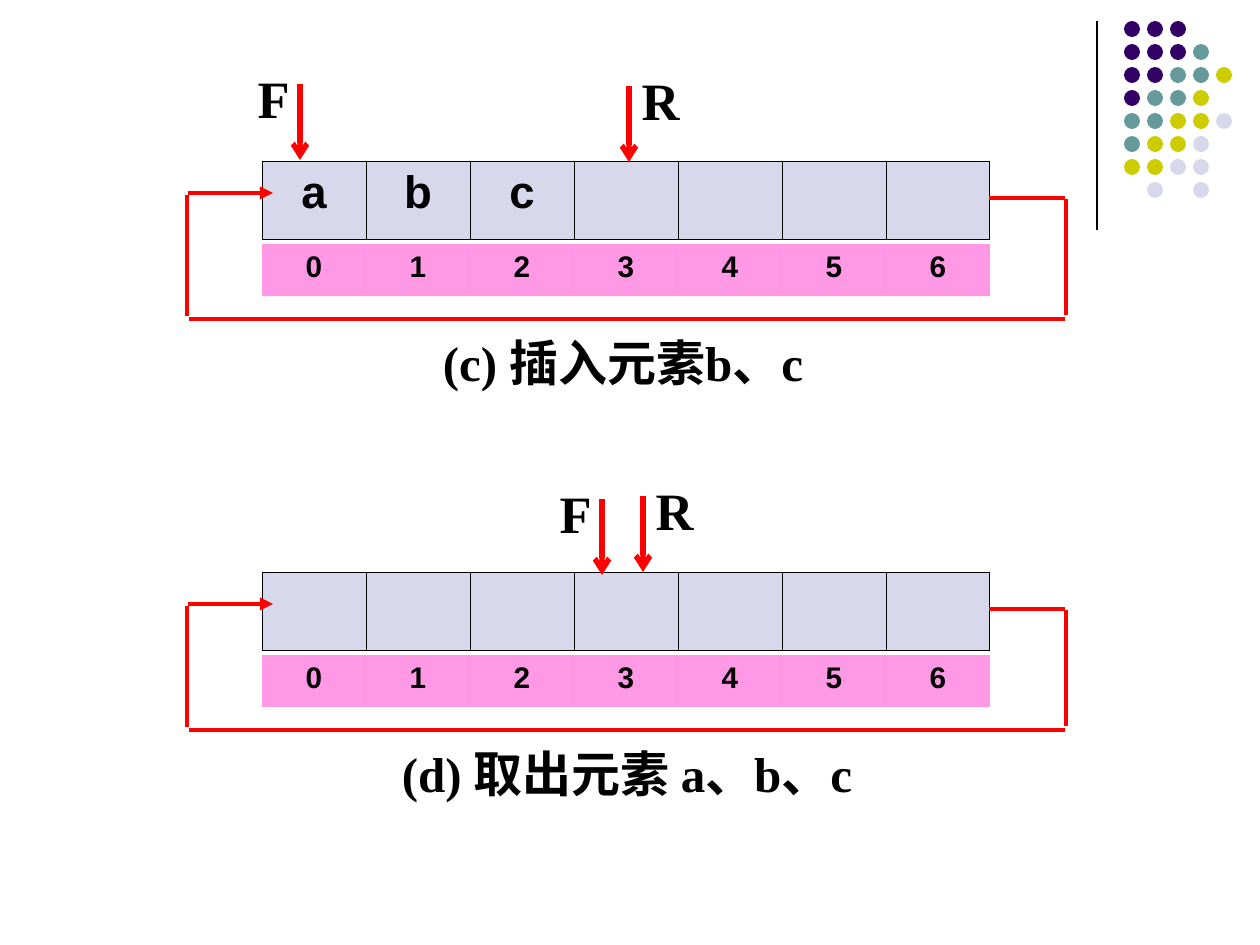
from lxml.etree import SubElement
from pptx import Presentation
from pptx.dml.color import RGBColor
from pptx.enum.shapes import MSO_CONNECTOR as Connector, MSO_SHAPE as Shape
from pptx.enum.text import PP_ALIGN as Align
from pptx.oxml.ns import qn
from pptx.util import Pt

PX = 914400 / 126
RED, BLACK, LAVENDER, PINK = "FF0000", "000000", "D8D8EC", "FF33CC"
SERIF, SANS, CJK = "Times New Roman", "Arial", "Noto Sans CJK SC"
NO_STYLE = "{2D5ABB26-0587-4C30-8999-92F81FD0307C}"
DOT_COLORS = {"P": "330066", "T": "669999", "Y": "CCCC00", "L": LAVENDER}
DOT_ROWS = ["PPP", "PPPT", "PPTTY", "PTTY", "TTYYL", "TYYL", "YYLL", " L L"]
SLOTS = 7
CELL_WIDTH = 104


def px(*lengths):
    return [round(length * PX) for length in lengths]


def paint(target, color):
    target.solid()
    target.fore_color.rgb = RGBColor.from_string(color)


def add_span(para, text, size, font):
    span = para.add_run()
    span.text = text
    span.font.size = Pt(size)
    span.font.bold = True
    span.font.name = font
    paint(span.font.fill, BLACK)
    SubElement(span.font._element, qn("a:ea"), typeface=CJK)


def add_line(page, start, end, color, width, head=None):
    line = page.shapes.add_connector(Connector.STRAIGHT, *px(*start, *end))
    paint(line.line.fill, color)
    line.line.width = Pt(width)
    if head:
        SubElement(line.line._get_or_add_ln(), qn("a:tailEnd"), type=head)
    SubElement(line._element.spPr, qn("a:effectLst"))


def add_label(page, left, top, width, height, spans, size):
    box = page.shapes.add_textbox(*px(left, top, width, height))
    frame = box.text_frame
    frame.word_wrap = True
    frame.margin_left = frame.margin_right = 0
    frame.margin_top = frame.margin_bottom = 0
    para = frame.paragraphs[0]
    para.alignment = Align.CENTER
    para.line_spacing = Pt(33)
    for text, font in spans:
        add_span(para, text, size, font)


def add_borders(cell):
    props = cell._tc.get_or_add_tcPr()
    for index, side in enumerate(("lnL", "lnR", "lnT", "lnB")):
        border = props.makeelement(qn(f"a:{side}"), {"w": str(Pt(0.45))})
        props.insert(index, border)
        fill = SubElement(border, qn("a:solidFill"))
        SubElement(fill, qn("a:srgbClr"), val=BLACK)


def add_row(page, left, top, height, texts, size, color, bordered):
    frame = page.shapes.add_table(
        1, SLOTS, *px(left, top, SLOTS * CELL_WIDTH, height))
    table = frame.table
    table.first_row = table.horz_banding = False
    table._tbl.tblPr.find(qn("a:tableStyleId")).text = NO_STYLE
    for index, cell in enumerate(table.iter_cells()):
        paint(cell.fill, color)
        if bordered:
            add_borders(cell)
        else:
            tint = cell._tc.tcPr.find(".//" + qn("a:srgbClr"))
            SubElement(tint, qn("a:alpha"), val="50000")
        if index < len(texts):
            para = cell.text_frame.paragraphs[0]
            para.alignment = Align.CENTER
            add_span(para, texts[index], size, SANS)


def add_pointer(page, left, top, name, label_shift):
    add_line(page, (left, top), (left, top + 76), RED, 3, "arrow")
    add_label(page, left + label_shift, top - 13, 55, 60, [(name, SERIF)], 30)


def add_loop(page, left, top):
    segments = [
        ((727, 37), (803, 37), None),
        ((804, 38), (804, 154), None),
        ((803, 158), (-73, 158), None),
        ((-75, 155), (-75, 34), None),
        ((-74, 32), (11, 32), "triangle"),
    ]
    for start, end, head in segments:
        add_line(page, (left + start[0], top + start[1]),
                 (left + end[0], top + end[1]), RED, 2.5, head)


def add_queue(page, left, top, items, front, rear, caption, caption_box):
    add_row(page, left, top, 78, items, 26, LAVENDER, True)
    add_row(page, left, top + 83, 52, "0123456", 17, PINK, False)
    add_pointer(page, left + front[0], top + front[1], "F", -54)
    add_pointer(page, left + rear[0], top + rear[1], "R", 4)
    add_loop(page, left, top)
    shift, width = caption_box
    add_label(page, left + shift, top + 173, width, 66, caption, 28)


def add_corner_dots(page, left, top):
    add_line(page, (left, top), (left, top + 209), BLACK, 0.75)
    for row, pattern in enumerate(DOT_ROWS):
        for column, key in enumerate(pattern):
            if key in DOT_COLORS:
                dot = page.shapes.add_shape(
                    Shape.OVAL,
                    *px(left + 27 + 23 * column, top + 23 * row, 16, 16))
                dot.shadow.inherit = False
                paint(dot.fill, DOT_COLORS[key])
                dot.line.fill.background()


def main():
    deck = Presentation()
    deck.slide_width, deck.slide_height = px(1260, 945)
    page = deck.slides.add_slide(deck.slide_layouts[6])
    paint(page.background.fill, "FFFFFF")
    add_corner_dots(page, 1097, 21)
    add_queue(page, 262, 161, "abc", (38, -77), (367, -75),
              [("(c) ", SERIF), ("插入元素", CJK), ("b、c", SERIF)],
              (155, 412))
    add_queue(page, 262, 572, "", (340, -73), (381, -76),
              [("(d) ", SERIF), ("取出元素 ", CJK), ("a、b、c", SERIF)],
              (101, 528))
    deck.save("out.pptx")


if __name__ == "__main__":
    main()
